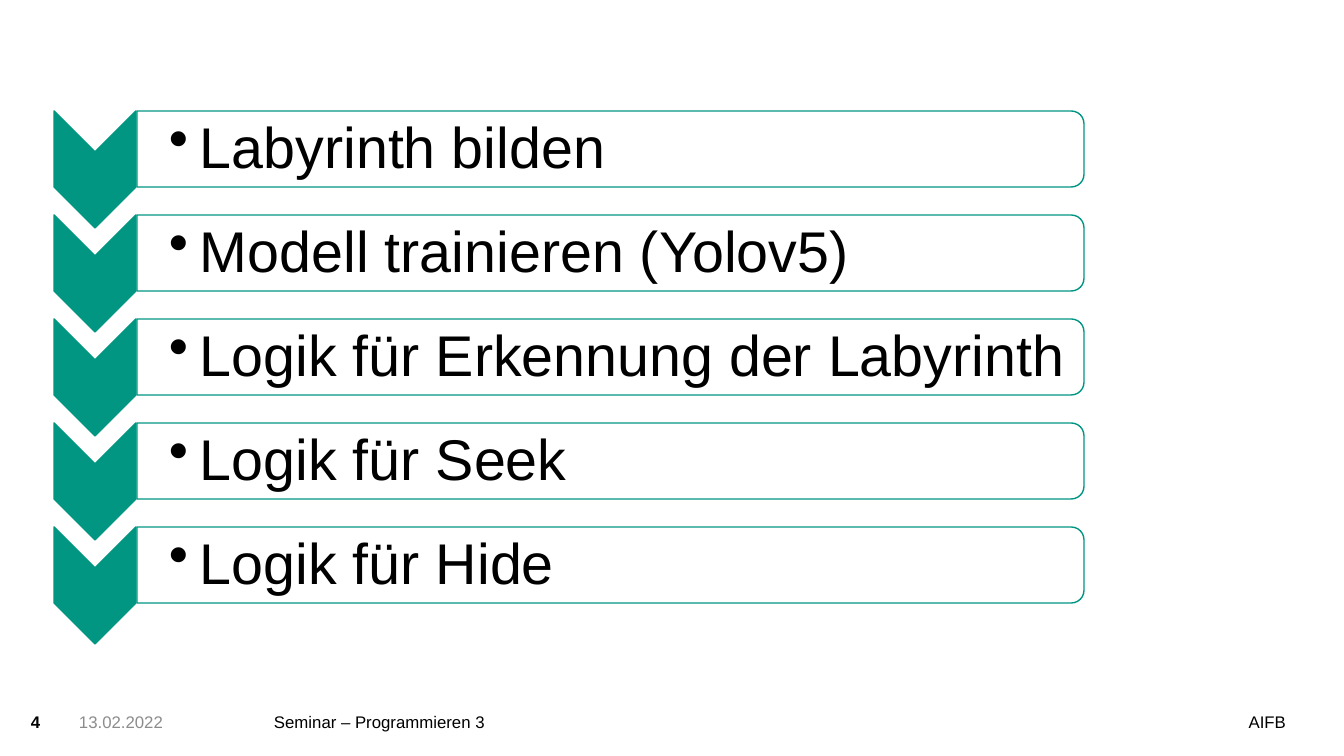
from dataclasses import dataclass

import pptx
import pptx.dml.color
import pptx.enum.shapes
import pptx.enum.text
import pptx.oxml.ns
import pptx.util
from lxml import etree

RGBColor = pptx.dml.color.RGBColor
Shape = pptx.enum.shapes.MSO_SHAPE
Align = pptx.enum.text.PP_ALIGN
Anchor = pptx.enum.text.MSO_ANCHOR

TEAL = RGBColor(0x00, 0x96, 0x82)
WHITE = RGBColor(0xFF, 0xFF, 0xFF)
BLACK = RGBColor(0x00, 0x00, 0x00)
GREY = RGBColor(0x8C, 0x8C, 0x8C)

FONT = "Arial"
PX_PER_INCH = 100.8
STEP_PITCH = 104
BULLET_INDENT = 31


@dataclass(frozen=True)
class Box:
    left: int
    top: int
    width: int
    height: int

    def shifted_down(self, distance: int) -> "Box":
        return Box(self.left, self.top + distance, self.width, self.height)


@dataclass(frozen=True)
class FooterItem:
    text: str
    left: int
    width: int
    color: RGBColor = BLACK
    bold: bool = False
    align: Align = Align.LEFT


# Visible areas of the first step
CHEVRON = Box(54, 111, 82, 117)
BAR = Box(137, 111, 947, 76)
LABEL = Box(137, 115, 943, 69)

STEPS = [
    "Labyrinth bilden",
    "Modell trainieren (Yolov5)",
    "Logik für Erkennung der Labyrinth",
    "Logik für Seek",
    "Logik für Hide",
]

FOOTER_TOP = 712
FOOTER_HEIGHT = 40
FOOTER = [
    FooterItem("AIFB", 832, 454, align=Align.RIGHT),
    FooterItem("Seminar – Programmieren 3", 274, 548),
    FooterItem("13.02.2022", 79, 187, color=GREY),
    FooterItem("4", 31, 48, bold=True),
]


def px(length: float) -> pptx.util.Emu:
    return pptx.util.Emu(round(length * 914400 / PX_PER_INCH))


def add_text(slide, text: str, box: Box, *, size: int, color: RGBColor = BLACK,
             bold: bool = False, align: Align = Align.LEFT,
             anchor: Anchor = Anchor.TOP, insets: tuple = (0, 0, 0, 0),
             line_spacing: float = 1.0, bullet: bool = False) -> None:
    shape = slide.shapes.add_textbox(px(box.left), px(box.top), px(box.width), px(box.height))
    frame = shape.text_frame
    frame.word_wrap = True
    frame.vertical_anchor = anchor
    frame.margin_left, frame.margin_top, frame.margin_right, frame.margin_bottom = map(px, insets)
    paragraph = frame.paragraphs[0]
    paragraph.alignment = align
    paragraph.line_spacing = line_spacing
    if bullet:
        properties = paragraph._p.get_or_add_pPr()
        properties.set("marL", str(px(BULLET_INDENT)))
        properties.set("indent", str(px(-BULLET_INDENT)))
        etree.SubElement(properties, pptx.oxml.ns.qn("a:buChar"), char="•")
    run = paragraph.add_run()
    run.text = text
    run.font.name = FONT
    run.font.size = pptx.util.Pt(size)
    run.font.bold = bold
    run.font.color.rgb = color


def add_turned_shape(slide, kind: Shape, box: Box, fill: RGBColor):
    """Draw a shape turned by 90 degrees so that it covers the visible box."""
    left = box.left + (box.width - box.height) / 2
    top = box.top + (box.height - box.width) / 2
    shape = slide.shapes.add_shape(kind, px(left), px(top), px(box.height), px(box.width))
    shape.rotation = 90
    shape.shadow.inherit = False
    shape.fill.solid()
    shape.fill.fore_color.rgb = fill
    shape.line.color.rgb = TEAL
    shape.line.width = pptx.util.Pt(1)
    return shape


def set_opacity(shape, percent: int) -> None:
    color = shape.fill._xPr.find(".//" + pptx.oxml.ns.qn("a:srgbClr"))
    etree.SubElement(color, pptx.oxml.ns.qn("a:alpha"), val=str(percent * 1000))


def add_step(slide, text: str, offset: int) -> None:
    add_turned_shape(slide, Shape.CHEVRON, CHEVRON.shifted_down(offset), TEAL)
    bar = add_turned_shape(slide, Shape.ROUND_2_SAME_RECTANGLE, BAR.shifted_down(offset), WHITE)
    set_opacity(bar, 90)
    add_text(slide, text, LABEL.shifted_down(offset), size=41, anchor=Anchor.MIDDLE,
             insets=(32, 3, 3, 3), line_spacing=0.9, bullet=True)


def main() -> None:
    presentation = pptx.Presentation()
    presentation.slide_width = px(1344)
    presentation.slide_height = px(756)
    slide = presentation.slides.add_slide(presentation.slide_layouts[6])

    # Footer line
    for item in FOOTER:
        add_text(slide, item.text, Box(item.left, FOOTER_TOP, item.width, FOOTER_HEIGHT),
                 size=12, color=item.color, bold=item.bold, align=item.align)

    # Chevron list of the steps
    for index, step in enumerate(STEPS):
        add_step(slide, step, index * STEP_PITCH)

    presentation.save("out.pptx")


if __name__ == "__main__":
    main()
